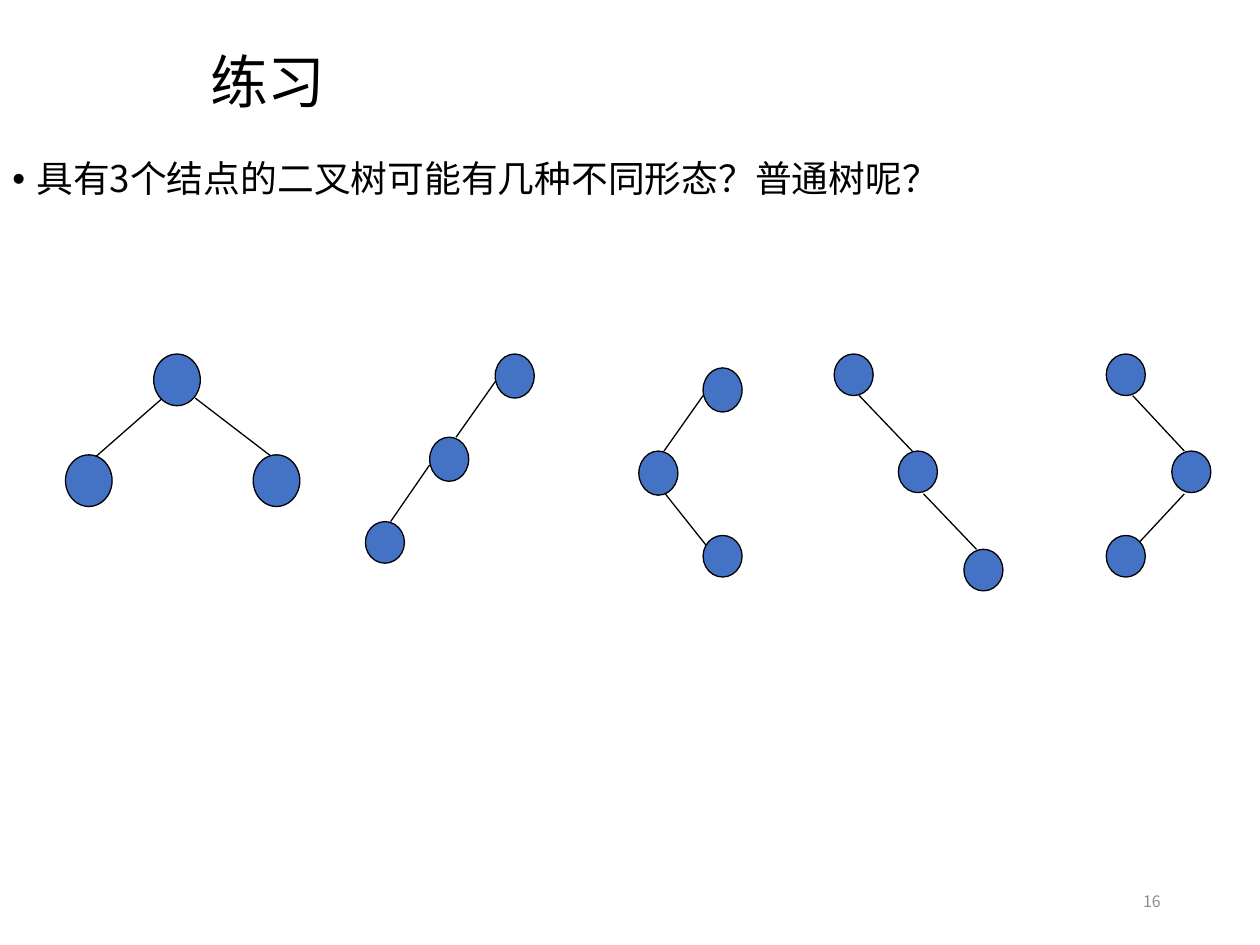
from dataclasses import dataclass

from lxml import etree
from pptx import Presentation
from pptx.dml.color import RGBColor
from pptx.enum.shapes import MSO_CONNECTOR, MSO_SHAPE
from pptx.enum.text import MSO_ANCHOR, PP_ALIGN
from pptx.oxml.ns import qn
from pptx.util import Inches, Pt

OVAL = MSO_SHAPE.OVAL
STRAIGHT = MSO_CONNECTOR.STRAIGHT
TOP, MIDDLE = MSO_ANCHOR.TOP, MSO_ANCHOR.MIDDLE
LEFT, RIGHT = PP_ALIGN.LEFT, PP_ALIGN.RIGHT


@dataclass(frozen=True)
class Theme:
    font: str = "Noto Sans CJK SC"
    ink: RGBColor = RGBColor(0, 0, 0)
    muted: RGBColor = RGBColor(0x8C, 0x8C, 0x8C)
    node: RGBColor = RGBColor(0x44, 0x72, 0xC4)
    title_size: float = 33
    body_size: float = 21
    number_size: float = 9
    line_width: float = 0.75


THEME = Theme()

# Each tree: origin, nodes (left, top, width, height) and edges
# (x1, y1, x2, y2), all in inches from the origin.
TREES = [
    # Root with two children
    ((0.52, 2.81),
     [(0.7, 0, 0.37, 0.41), (0, 0.8, 0.37, 0.41), (1.49, 0.8, 0.37, 0.41)],
     [(0.77, 0.35, 0.2, 0.85), (1.03, 0.35, 1.63, 0.81)]),
    # Left, left
    ((2.9, 2.81),
     [(1.03, 0, 0.31, 0.35), (0.51, 0.66, 0.31, 0.35), (0, 1.33, 0.31, 0.33)],
     [(1.03, 0.22, 0.72, 0.66), (0.51, 0.88, 0.2, 1.33)]),
    # Left, right
    ((5.07, 2.92),
     [(0.51, 0, 0.31, 0.35), (0, 0.66, 0.31, 0.35), (0.51, 1.33, 0.31, 0.33)],
     [(0.51, 0.22, 0.2, 0.66), (0.21, 1, 0.56, 1.44)]),
    # Right, right
    ((6.62, 2.81),
     [(0, 0, 0.31, 0.33), (0.51, 0.77, 0.31, 0.33), (1.03, 1.55, 0.31, 0.33)],
     [(0.2, 0.33, 0.62, 0.77), (0.71, 1.11, 1.13, 1.55)]),
    # Right, left
    ((8.78, 2.81),
     [(0, 0, 0.31, 0.33), (0.52, 0.77, 0.31, 0.33), (0, 1.44, 0.31, 0.33)],
     [(0.21, 0.33, 0.62, 0.77), (0.62, 1.11, 0.21, 1.55)]),
]


def add_text(page, box, text, size, color, anchor=MIDDLE, align=LEFT, spacing=1.0):
    """Place one paragraph in the box and return it."""
    frame = page.shapes.add_textbox(*map(Inches, box)).text_frame
    frame.word_wrap = True
    frame.vertical_anchor = anchor
    frame.text = text
    para = frame.paragraphs[0]
    para.alignment = align
    para.line_spacing = spacing
    font = para.runs[0].font
    font.size = Pt(size)
    font.color.rgb = color
    font.name = THEME.font
    east_asian = etree.SubElement(para.runs[0].font._element, qn("a:ea"))
    east_asian.set("typeface", THEME.font)
    return para


def add_question(page, box, text):
    para = add_text(page, box, text, THEME.body_size, THEME.ink, TOP, spacing=0.9)
    properties = para._p.get_or_add_pPr()
    properties.set("marL", str(Inches(0.19)))
    properties.set("indent", str(Inches(-0.19)))
    bullet_font = etree.SubElement(properties, qn("a:buFont"))
    bullet_font.set("typeface", "Arial")
    etree.SubElement(properties, qn("a:buChar")).set("char", "•")


def set_outline(shape):
    shape.line.color.rgb = THEME.ink
    shape.line.width = Pt(THEME.line_width)


def add_tree(page, origin, nodes, edges):
    """Draw the edges first so that the nodes cover their ends."""
    left, top = origin
    group = page.shapes.add_group_shape()
    for x1, y1, x2, y2 in edges:
        ends = (left + x1, top + y1, left + x2, top + y2)
        edge = group.shapes.add_connector(STRAIGHT, *map(Inches, ends))
        set_outline(edge)
        etree.SubElement(edge._element.spPr, qn("a:effectLst"))
    for x, y, width, height in nodes:
        box = (left + x, top + y, width, height)
        node = group.shapes.add_shape(OVAL, *map(Inches, box))
        node.shadow.inherit = False
        node.fill.solid()
        node.fill.fore_color.rgb = THEME.node
        set_outline(node)


def main():
    deck = Presentation()
    deck.slide_width, deck.slide_height = Inches(10), Inches(7.5)
    page = deck.slides.add_slide(deck.slide_layouts[6])

    # Title and question
    add_text(page, (1.57, 0.35, 8.43, 0.65), "练习",
             THEME.title_size, THEME.ink, spacing=0.9)
    add_question(page, (0, 1.23, 8.98, 5.65),
                 "具有3个结点的二叉树可能有几种不同形态？普通树呢？")

    # The five binary trees
    for origin, nodes, edges in TREES:
        add_tree(page, origin, nodes, edges)

    # Page number
    add_text(page, (7.06, 6.95, 2.25, 0.4), "16",
             THEME.number_size, THEME.muted, align=RIGHT)
    deck.save("out.pptx")


if __name__ == "__main__":
    main()
